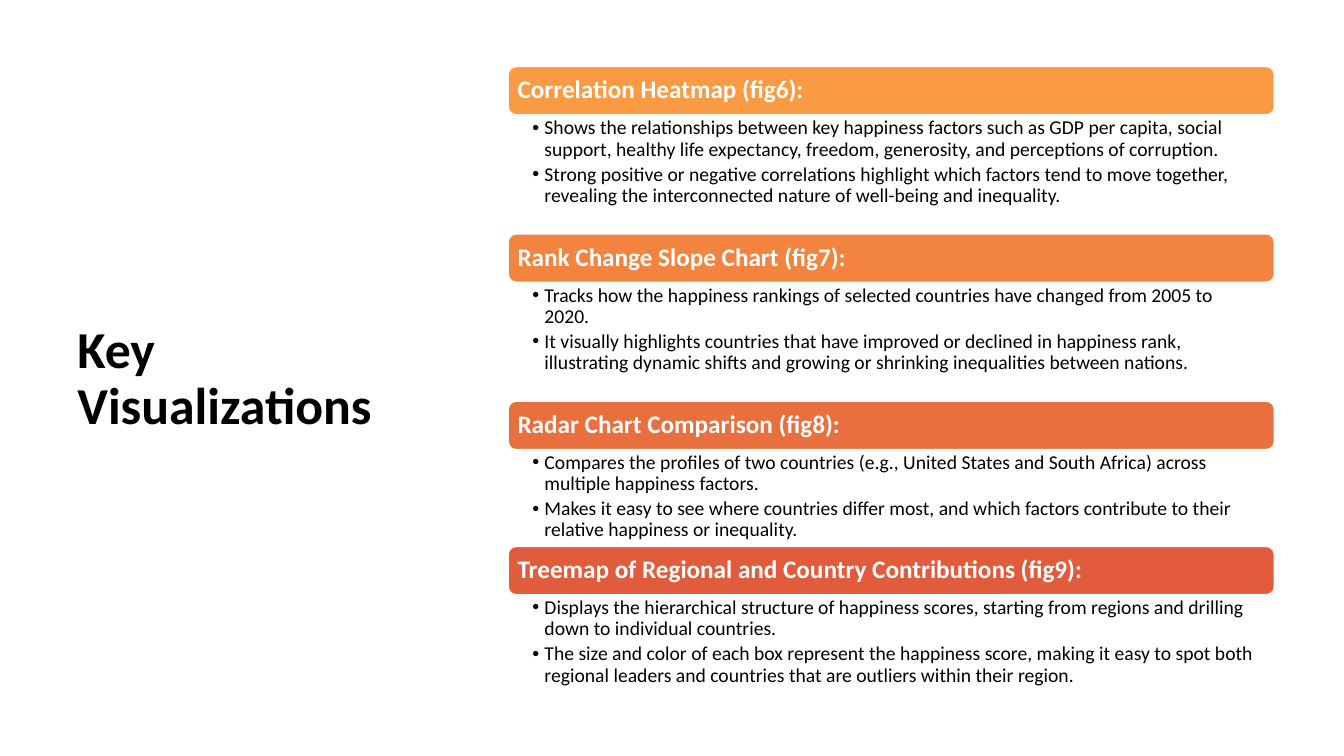
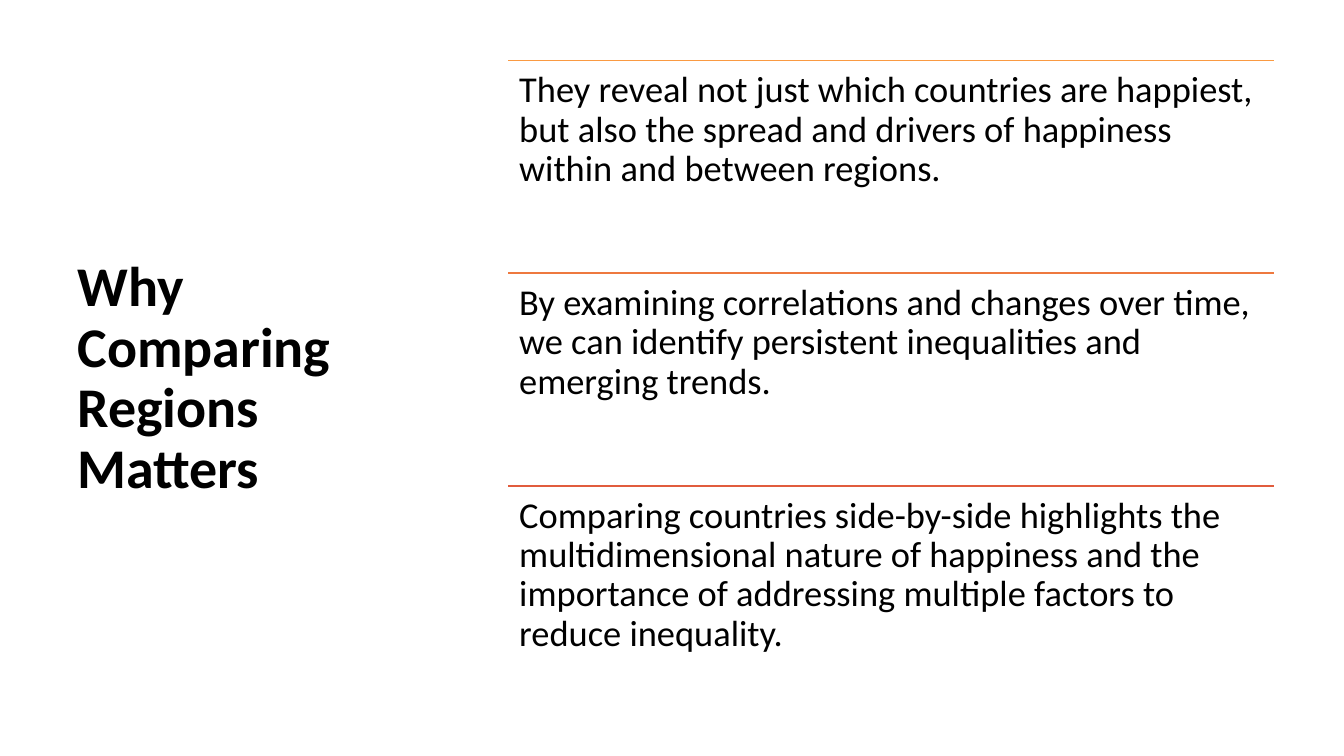
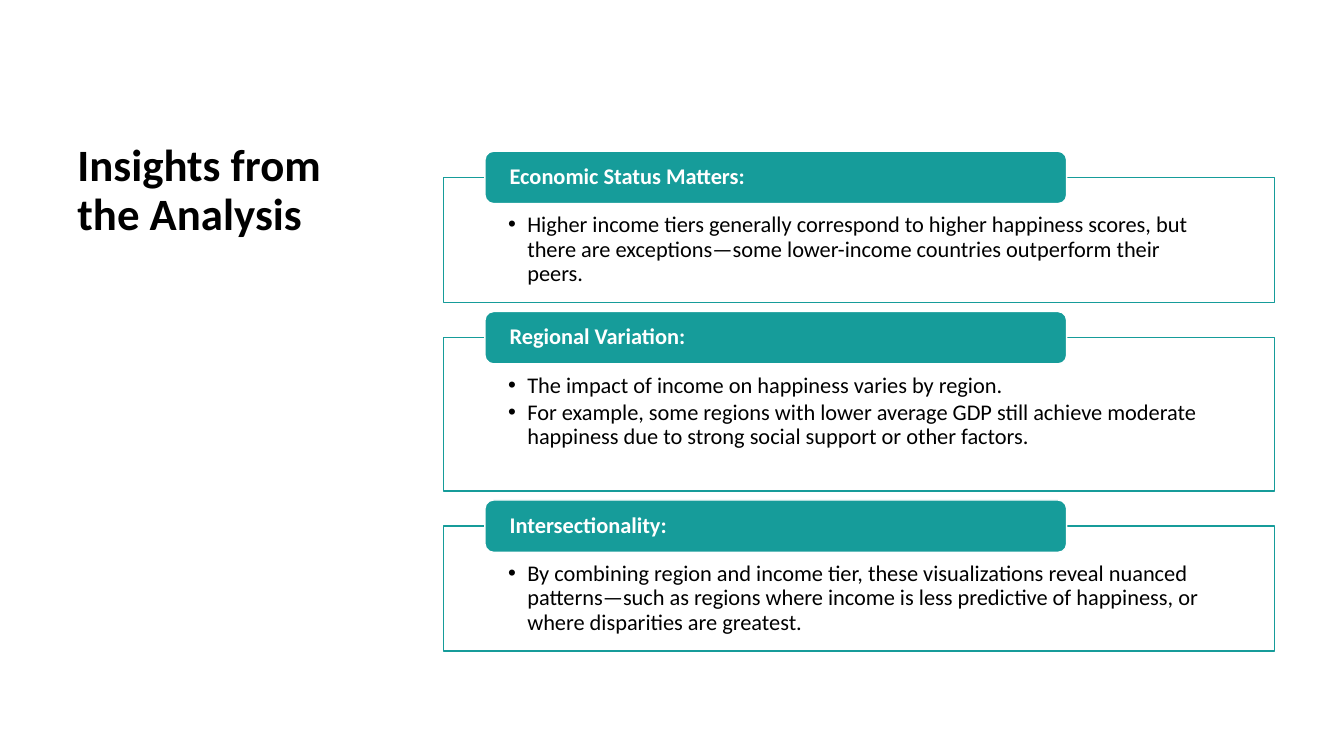
from dataclasses import dataclass
from lxml.etree import SubElement
from pptx import Presentation
from pptx.dml.color import RGBColor as Rgb
from pptx.enum.shapes import MSO_CONNECTOR as Link, MSO_SHAPE as Form
from pptx.enum.text import MSO_ANCHOR as Anchor, PP_ALIGN as Align
from pptx.oxml.ns import qn
from pptx.util import Inches, Pt

COLORS = {
    "black": "000000",
    "white": "FFFFFF",
    "amber": "FA9A42",
    "orange": "F28440",
    "coral": "EE793F",
    "rust": "EA6F3E",
    "red": "E15C3D",
    "teal": "169C9A",
}
FONT = "Calibri"
LEFT, WIDE = 5.04, 7.6


@dataclass
class Style:
    size: int
    color: str = "black"
    bold: bool = False
    inset: tuple = (0.1, 0.05, 0.1, 0.05)
    anchor: Anchor = Anchor.TOP
    after: float = 0
    hang: float = 0


@dataclass
class Panel:
    head: str
    points: list
    height: float
    color: str = "teal"


BAND = Style(18, "white", True, (0.07,) * 4, Anchor.MIDDLE)
NOTE = Style(14, inset=(0.24, 0.03, 0.14, 0.03), after=0.2, hang=0.12)
REASON = Style(26, inset=(0.11,) * 4)
TAB = Style(16, "white", True, (0.22, 0, 0.22, 0), Anchor.MIDDLE)
CARD = Style(16, inset=(0.64, 0.36, 0.64, 0.12), after=0.15, hang=0.19)

CHARTS = [
    Panel("Correlation Heatmap (fig6):", [
        "Shows the relationships between key happiness factors such as GDP per capita, social support, "
        "healthy life expectancy, freedom, generosity, and perceptions of corruption.",
        "Strong positive or negative correlations highlight which factors tend to move together, "
        "revealing the interconnected nature of well-being and inequality.",
    ], 1.18, "amber"),
    Panel("Rank Change Slope Chart (fig7):", [
        "Tracks how the happiness rankings of selected countries have changed from 2005 to 2020.",
        "It visually highlights countries that have improved or declined in happiness rank, "
        "illustrating dynamic shifts and growing or shrinking inequalities between nations.",
    ], 1.18, "orange"),
    Panel("Radar Chart Comparison (fig8):", [
        "Compares the profiles of two countries (e.g., United States and South Africa) "
        "across multiple happiness factors.",
        "Makes it easy to see where countries differ most, and which factors contribute "
        "to their relative happiness or inequality.",
    ], 0.96, "rust"),
    Panel("Treemap of Regional and Country Contributions (fig9):", [
        "Displays the hierarchical structure of happiness scores, starting from regions "
        "and drilling down to individual countries.",
        "The size and color of each box represent the happiness score, making it easy to spot both "
        "regional leaders and countries that are outliers within their region.",
    ], 0.96, "red"),
]

REASONS = {
    "amber": "They reveal not just which countries are happiest, but also the spread "
             "and drivers of happiness within and between regions.",
    "coral": "By examining correlations and changes over time, we can identify "
             "persistent inequalities and emerging trends.",
    "red": "Comparing countries side-by-side highlights the multidimensional nature of happiness "
           "and the importance of addressing multiple factors to reduce inequality.",
}

INSIGHTS = [
    Panel("Economic Status Matters:", [
        "Higher income tiers generally correspond to higher happiness scores, but there are "
        "exceptions—some lower-income countries outperform their peers.",
    ], 1.24),
    Panel("Regional Variation:", [
        "The impact of income on happiness varies by region.",
        "For example, some regions with lower average GDP still achieve moderate happiness "
        "due to strong social support or other factors.",
    ], 1.52),
    Panel("Intersectionality:", [
        "By combining region and income tier, these visualizations reveal nuanced patterns—such as "
        "regions where income is less predictive of happiness, or where disparities are greatest.",
    ], 1.24),
]


def paint(name: str) -> Rgb:
    return Rgb.from_string(COLORS[name])


def apply(target, values: dict) -> None:
    for name, value in values.items():
        setattr(target, name, value)


def write(shape, lines: list, style: Style) -> None:
    frame = shape.text_frame
    left, top, right, bottom = map(Inches, style.inset)
    apply(frame, {
        "word_wrap": True, "vertical_anchor": style.anchor,
        "margin_left": left, "margin_top": top,
        "margin_right": right, "margin_bottom": bottom,
    })
    for i, line in enumerate(lines):
        para = frame.add_paragraph() if i else frame.paragraphs[0]
        apply(para, {
            "alignment": Align.LEFT, "line_spacing": 0.9,
            "space_before": Pt(0), "space_after": Pt(style.size * style.after),
        })
        run = para.add_run()
        run.text = line
        apply(run.font, {"name": FONT, "size": Pt(style.size), "bold": style.bold})
        run.font.color.rgb = paint(style.color)
        if style.hang:
            props = para._p.get_or_add_pPr()
            props.set("marL", str(Inches(style.hang)))
            props.set("indent", str(-Inches(style.hang)))
            SubElement(props, qn("a:buFont"), typeface="Arial")
            SubElement(props, qn("a:buChar"), char="•")


def add_text(slide, box: tuple, lines: list, style: Style) -> None:
    write(slide.shapes.add_textbox(*map(Inches, box)), lines, style)


def add_box(slide, form: Form, box: tuple, fill: str, edge: str, lines: list, style: Style) -> None:
    shape = slide.shapes.add_shape(form, *map(Inches, box))
    shape.shadow.inherit = False
    shape.fill.solid()
    shape.fill.fore_color.rgb = paint(fill)
    shape.line.color.rgb = paint(edge)
    shape.line.width = Pt(1)
    write(shape, lines, style)


def add_rule(slide, top: float, color: str) -> None:
    ends = map(Inches, (LEFT, top, LEFT + WIDE, top))
    rule = slide.shapes.add_connector(Link.STRAIGHT, *ends)
    rule.line.color.rgb = paint(color)
    rule.line.width = Pt(1)
    SubElement(rule._element.spPr, qn("a:effectLst"))


def add_slide(deck, title: str, size: int, box: tuple = (0.67, 0.6, 3.82, 6.33),
              anchor: Anchor = Anchor.MIDDLE):
    slide = deck.slides.add_slide(deck.slide_layouts[6])
    add_text(slide, box, [title], Style(size, bold=True, anchor=anchor))
    return slide


def draw_charts(deck) -> None:
    slide = add_slide(deck, "Key Visualizations", 37)
    top, band = 0.66, 0.48
    for item in CHARTS:
        add_box(slide, Form.ROUNDED_RECTANGLE, (LEFT, top, WIDE, band),
                item.color, "white", [item.head], BAND)
        add_text(slide, (LEFT, top + band, WIDE, item.height), item.points, NOTE)
        top += band + item.height


def draw_reasons(deck) -> None:
    slide = add_slide(deck, "Why Comparing Regions Matters", 40)
    step = 2.11
    for i, (color, text) in enumerate(REASONS.items()):
        top = 0.6 + i * step
        add_rule(slide, top, color)
        add_text(slide, (LEFT, top, WIDE, step), [text], REASON)


def draw_insights(deck) -> None:
    slide = add_slide(deck, "Insights from the Analysis", 32, (0.67, 1.37, 3.18, 5.22), Anchor.TOP)
    top, gap, tab = 1.76, 0.35, 0.52
    for item in INSIGHTS:
        add_box(slide, Form.RECTANGLE, (4.4, top, 8.24, item.height),
                "white", item.color, item.points, CARD)
        add_box(slide, Form.ROUNDED_RECTANGLE, (4.81, top - tab / 2, 5.77, tab),
                item.color, "white", [item.head], TAB)
        top += item.height + gap


def main() -> None:
    deck = Presentation()
    apply(deck, {"slide_width": Inches(13.33), "slide_height": Inches(7.5)})
    for draw in (draw_charts, draw_reasons, draw_insights):
        draw(deck)
    deck.save("out.pptx")


if __name__ == "__main__":
    main()
